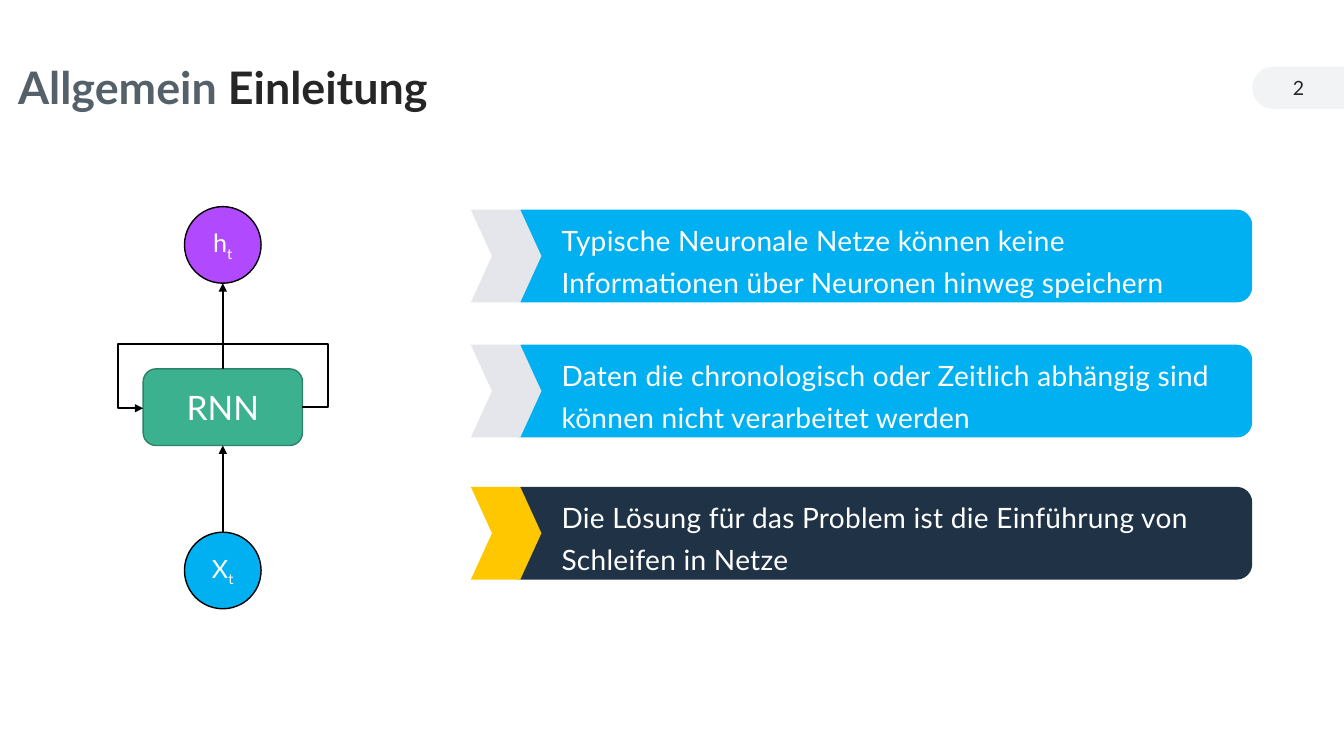
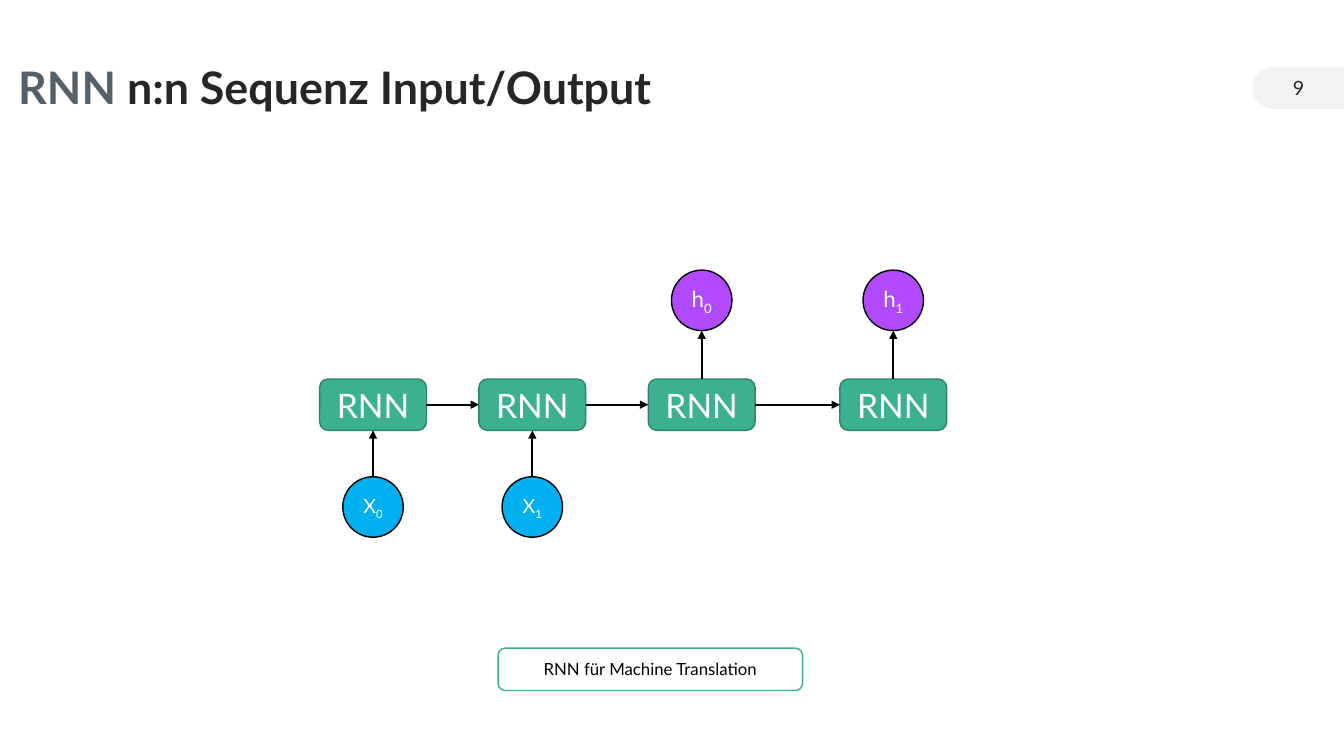
import lxml.etree
import pptx
import pptx.dml.color
import pptx.enum.shapes
import pptx.enum.text
import pptx.oxml
import pptx.oxml.ns
import pptx.util

SCALE = 9144
FONT = "Lato"
SHAPE = pptx.enum.shapes.MSO_SHAPE
ALIGN = pptx.enum.text.PP_ALIGN
COLOURS = {
    "black": "000000",
    "white": "FFFFFF",
    "ink": "262626",
    "slate": "55616A",
    "badge": "F1F3F5",
    "input": "00B0F0",
    "output": "B14AFF",
    "cell": "3BB18F",
    "cell_edge": "2C836A",
    "navy": "203346",
    "silver": "E4E6EB",
    "gold": "FFC700",
}
FRAME_FORMAT = {
    "margin_left": 0,
    "margin_right": 0,
    "margin_top": 5 * SCALE,
    "margin_bottom": 5 * SCALE,
    "vertical_anchor": pptx.enum.text.MSO_ANCHOR.MIDDLE,
    "auto_size": pptx.enum.text.MSO_AUTO_SIZE.NONE,
}
SIDES = {"top": (0.5, 0), "bottom": (0.5, 1), "left": (0, 0.5), "right": (1, 0.5)}


def px(*lengths):
    return [pptx.util.Emu(round(length * SCALE)) for length in lengths]


def colour(name):
    return pptx.dml.color.RGBColor.from_string(COLOURS[name])


def apply_format(target, values):
    for name, value in values.items():
        setattr(target, name, value)


def write(shape, spans, size, align=ALIGN.CENTER, wrap=True, spacing=1.0, bold=False):
    frame = shape.text_frame
    apply_format(frame, {**FRAME_FORMAT, "word_wrap": wrap})
    para = frame.paragraphs[0]
    apply_format(para, {"alignment": align, "line_spacing": spacing})
    for text, ink, attributes in spans:
        span = para.add_run()
        span.text = text
        apply_format(span.font, {"name": FONT, "size": pptx.util.Pt(size), "bold": bold})
        span.font.color.rgb = colour(ink)
        for name, value in attributes.items():
            span._r.get_or_add_rPr().set(name, value)


def add_shape(shapes, kind, box, fill, edge=None):
    shape = shapes.add_shape(kind, *px(*box))
    shape.shadow.inherit = False
    shape.fill.solid()
    shape.fill.fore_color.rgb = colour(fill)
    if edge:
        shape.line.color.rgb = colour(edge)
        shape.line.width = pptx.util.Pt(1)
    else:
        shape.line.fill.background()
    return shape


def make_arrow(line_shape):
    line_shape.line.color.rgb = colour("black")
    line_shape.line.width = pptx.util.Pt(1.5)
    tail = lxml.etree.SubElement(
        line_shape.line._get_or_add_ln(), pptx.oxml.ns.qn("a:tailEnd")
    )
    tail.set("type", "triangle")


def port(shape, side):
    across, down = SIDES[side]
    return (
        round(shape.left + across * shape.width),
        round(shape.top + down * shape.height),
    )


def add_link(page, start, start_side, end, end_side):
    link = page.shapes.add_connector(
        pptx.enum.shapes.MSO_CONNECTOR.STRAIGHT,
        *port(start, start_side),
        *port(end, end_side),
    )
    make_arrow(link)
    lxml.etree.SubElement(link._element.spPr, pptx.oxml.ns.qn("a:effectLst"))


def add_loop(page, box):
    left, top, width, height = box
    right, middle = left + width, top + height // 2
    points = [
        (right + 25, middle),
        (right + 25, top - 25),
        (left - 25, top - 25),
        (left - 25, middle + 1),
        (left, middle + 1),
    ]
    builder = page.shapes.build_freeform(right, middle, scale=SCALE)
    builder.add_line_segments(points, close=False)
    loop = builder.convert_to_shape()
    loop.shadow.inherit = False
    loop.fill.background()
    make_arrow(loop)


def add_cell(page, box):
    cell = add_shape(page.shapes, SHAPE.ROUNDED_RECTANGLE, box, "cell", "cell_edge")
    write(cell, [("RNN", "white", {})], 24, wrap=False)
    return cell


def add_state(page, box, letter, index, size, fill):
    state = add_shape(page.shapes, SHAPE.OVAL, box, fill, "black")
    spans = [(letter, "white", {}), (index, "white", {"baseline": "-25000"})]
    write(state, spans, size, wrap=False)
    return state


def add_badge(page, box, number):
    left, top, width, height = box
    shift = (width - height) // 2
    upright = (left + shift, top - shift, height, width)
    badge = add_shape(page.shapes, SHAPE.ROUND_2_SAME_RECTANGLE, upright, "badge")
    badge.adjustments[0] = 0.5
    badge.rotation = 270
    label = page.shapes.add_textbox(*px(*box))
    write(label, [(number, "ink", {})], 14)


def add_page(deck, number, topic, heading):
    page = deck.slides.add_slide(deck.slide_layouts[5])
    title = page.shapes.title
    geometry = zip(("left", "top", "width", "height"), px(18, 45, 865, 88))
    apply_format(title, dict(geometry))
    spans = [(topic + " ", "slate", {}), (heading, "ink", {})]
    write(title, spans, 32, align=ALIGN.LEFT, spacing=0.9, bold=True)
    add_badge(page, (1242, 66, 92, 42), number)
    return page


def add_banner(page, box, text, fill, accent):
    left, top, width, height = box
    shapes = page.shapes.add_group_shape().shapes
    bar = (left + 35, top, width - 35, height)
    add_shape(shapes, SHAPE.ROUNDED_RECTANGLE, bar, fill)
    chevron = add_shape(shapes, SHAPE.CHEVRON, (left, top, 70, height), accent)
    chevron.adjustments[0] = 0.3
    label = shapes.add_textbox(*px(left + 90, top, width - 106, height + 2))
    write(label, [(text, "white", {"spc": "20"})], 20, align=ALIGN.LEFT, spacing=1.25)


def add_recurrent_diagram(page, box):
    left, top, width, height = box
    cell_box = (left, top + 161, width, 76)
    circle = 76
    circle_left = left + (width - circle) // 2
    output = add_state(
        page, (circle_left, top, circle, circle), "h", "t", 18, "output"
    )
    source = add_state(
        page,
        (circle_left, top + height - circle, circle, circle),
        "X", "t", 18, "input",
    )
    cell = add_cell(page, cell_box)
    add_link(page, source, "top", cell, "bottom")
    add_link(page, cell, "top", output, "bottom")
    add_loop(page, cell_box)


def add_sequence_diagram(page, box):
    left, top, width, height = box
    cell_width, circle = 106, 60
    steps = [
        (0, "X", "0"),
        (158, "X", "1"),
        (326, "h", "0"),
        (width - cell_width, "h", "1"),
    ]
    previous = None
    for offset, letter, index in steps:
        cell = add_cell(page, (left + offset, top + 108, cell_width, 51))
        circle_left = left + offset + (cell_width - circle) // 2
        if letter == "X":
            state_box = (circle_left, top + height - circle, circle, circle)
            state = add_state(page, state_box, letter, index, 14, "input")
            add_link(page, state, "top", cell, "bottom")
        else:
            state_box = (circle_left, top, circle, circle)
            state = add_state(page, state_box, letter, index, 16, "output")
            add_link(page, cell, "top", state, "bottom")
        if previous:
            add_link(page, previous, "right", cell, "left")
        previous = cell


def add_caption(page, box, text):
    caption = add_shape(page.shapes, SHAPE.ROUNDED_RECTANGLE, box, "white", "cell")
    write(caption, [(text, "black", {})], 12)


def add_introduction(deck):
    page = add_page(deck, "2", "Allgemein", "Einleitung")
    banners = [
        (208, "Typische Neuronale Netze können keine Informationen über "
              "Neuronen hinweg speichern", "input", "silver"),
        (342, "Daten die chronologisch oder Zeitlich abhängig sind können "
              "nicht verarbeitet werden", "input", "silver"),
        (483, "Die Lösung für das Problem ist die Einführung von Schleifen "
              "in Netze", "navy", "gold"),
    ]
    for top, text, fill, accent in banners:
        add_banner(page, (467, top, 775, 92), text, fill, accent)
    add_recurrent_diagram(page, (142, 205, 158, 399))


def add_translation(deck):
    page = add_page(deck, "9", "RNN", "n:n Sequenz Input/Output")
    add_sequence_diagram(page, (317, 268, 622, 265))
    add_caption(page, (494, 643, 302, 42), "RNN für Machine Translation")


def main():
    deck = pptx.Presentation()
    deck.slide_width, deck.slide_height = px(1333, 750)
    add_introduction(deck)
    add_translation(deck)
    deck.save("out.pptx")


if __name__ == "__main__":
    main()
